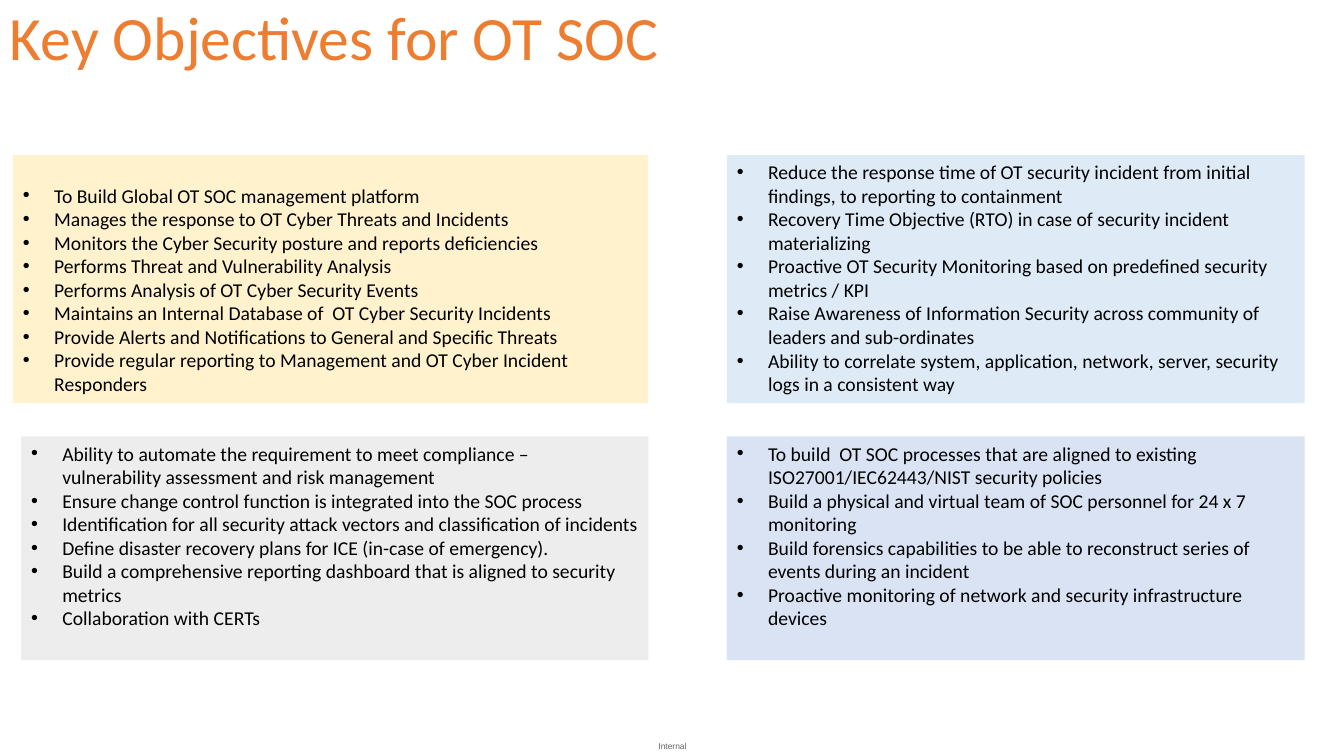
"""Build the slide of key objectives for an OT SOC."""
from dataclasses import dataclass

from lxml.etree import SubElement
from pptx import Presentation
from pptx.dml.color import RGBColor
from pptx.enum.shapes import MSO_SHAPE
from pptx.enum.text import MSO_ANCHOR, PP_ALIGN
from pptx.oxml.ns import qn
from pptx.util import Emu, Pt

PX = 9144
INDENT = 31


@dataclass
class Panel:
    """A filled box of bulleted goals, with lengths in px."""
    left: int
    top: int
    width: int
    height: int
    fill: str
    goals: list[str]
    inset: int = 5


@dataclass
class Label:
    """A single line of text, with lengths in px."""
    text: str
    left: int
    top: int
    width: int
    height: int
    font: str
    size: int
    color: str
    align: PP_ALIGN
    side: int
    edge: int
    spacing: float


PANELS = [
    Panel(13, 154, 630, 246, "FFF2CC", [
        "To Build Global OT SOC management platform",
        "Manages the response to OT Cyber Threats and Incidents",
        "Monitors the Cyber Security posture and reports deficiencies",
        "Performs Threat and Vulnerability Analysis",
        "Performs Analysis of OT Cyber Security Events",
        "Maintains an Internal Database of  OT Cyber Security Incidents",
        "Provide Alerts and Notifications to General and Specific Threats",
        "Provide regular reporting to Management and OT Cyber Incident Responders",
    ], inset=28),
    Panel(721, 154, 573, 246, "DEEBF7", [
        "Reduce the response time of OT security incident from initial findings, "
        "to reporting to containment",
        "Recovery Time Objective (RTO) in case of security incident materializing",
        "Proactive OT Security Monitoring based on predefined security metrics / KPI",
        "Raise Awareness of Information Security across community of leaders "
        "and sub-ordinates",
        "Ability to correlate system, application, network, server, security logs "
        "in a consistent way",
    ]),
    Panel(721, 433, 573, 222, "DAE3F3", [
        "To build  OT SOC processes that are aligned to existing "
        "ISO27001/IEC62443/NIST security policies",
        "Build a physical and virtual team of SOC personnel for 24 x 7 monitoring",
        "Build forensics capabilities to be able to reconstruct series of events "
        "during an incident",
        "Proactive monitoring of network and security infrastructure devices",
    ]),
    Panel(21, 433, 622, 222, "EDEDED", [
        "Ability to automate the requirement to meet compliance –\v"
        "vulnerability assessment and risk management",
        "Ensure change control function is integrated into the SOC process",
        "Identification for all security attack vectors and classification of incidents",
        "Define disaster recovery plans for ICE (in-case of emergency).",
        "Build a comprehensive reporting dashboard that is aligned to security metrics",
        "Collaboration with CERTs",
    ]),
]

LABELS = [
    Label("Internal", 642, 730, 50, 20, "Arial", 6, "626469",
          PP_ALIGN.CENTER, 0, 0, 1.0),
    Label("Key Objectives for OT SOC", 0, 7, 1200, 67, "Calibri", 44, "ED7D31",
          PP_ALIGN.LEFT, 10, 5, 0.9),
]


def px(count: int) -> Emu:
    """Turn px into EMU."""
    return Emu(count * PX)


def rgb(code: str) -> RGBColor:
    """Turn a hex string into a colour."""
    return RGBColor.from_string(code)


def set_font(para, name: str, size: int, color: str) -> None:
    """Set the font of a whole paragraph."""
    para.font.name = name
    para.font.size = Pt(size)
    para.font.color.rgb = rgb(color)


def set_frame(frame, side: int, top: int, base: int, anchor: MSO_ANCHOR) -> None:
    """Set the wrap, insets and anchor of a text frame."""
    frame.word_wrap = True
    frame.margin_left = frame.margin_right = px(side)
    frame.margin_top, frame.margin_bottom = px(top), px(base)
    frame.vertical_anchor = anchor


def add_bullet(para) -> None:
    """Give a paragraph a round bullet with a hanging indent."""
    props = para._p.get_or_add_pPr()
    props.set("marL", str(px(INDENT)))
    props.set("indent", str(-px(INDENT)))
    SubElement(props, qn("a:buFont"), typeface="Arial")
    SubElement(props, qn("a:buChar"), char="•")


def draw_label(slide, label: Label) -> None:
    """Draw one line of text."""
    box = slide.shapes.add_textbox(
        px(label.left), px(label.top), px(label.width), px(label.height))
    set_frame(box.text_frame, label.side, label.edge, label.edge, MSO_ANCHOR.MIDDLE)
    para = box.text_frame.paragraphs[0]
    para.text = label.text
    para.alignment = label.align
    para.line_spacing = label.spacing
    set_font(para, label.font, label.size, label.color)


def draw_panel(slide, panel: Panel) -> None:
    """Draw a filled box with its bulleted goals."""
    box = slide.shapes.add_shape(
        MSO_SHAPE.RECTANGLE,
        px(panel.left), px(panel.top), px(panel.width), px(panel.height))
    box.shadow.inherit = False
    box.fill.solid()
    box.fill.fore_color.rgb = rgb(panel.fill)
    box.line.fill.background()
    frame = box.text_frame
    set_frame(frame, 10, panel.inset, 5, MSO_ANCHOR.TOP)
    for rank, goal in enumerate(panel.goals):
        para = frame.add_paragraph() if rank else frame.paragraphs[0]
        para.text = goal
        para.alignment = PP_ALIGN.LEFT
        add_bullet(para)
        set_font(para, "Calibri", 14, "000000")


def main() -> None:
    """Build and save the deck."""
    deck = Presentation()
    deck.slide_width, deck.slide_height = px(1333), px(750)
    slide = deck.slides.add_slide(deck.slide_layouts[6])
    for label in LABELS:
        draw_label(slide, label)
    for panel in PANELS:
        draw_panel(slide, panel)
    deck.save("out.pptx")


if __name__ == "__main__":
    main()
